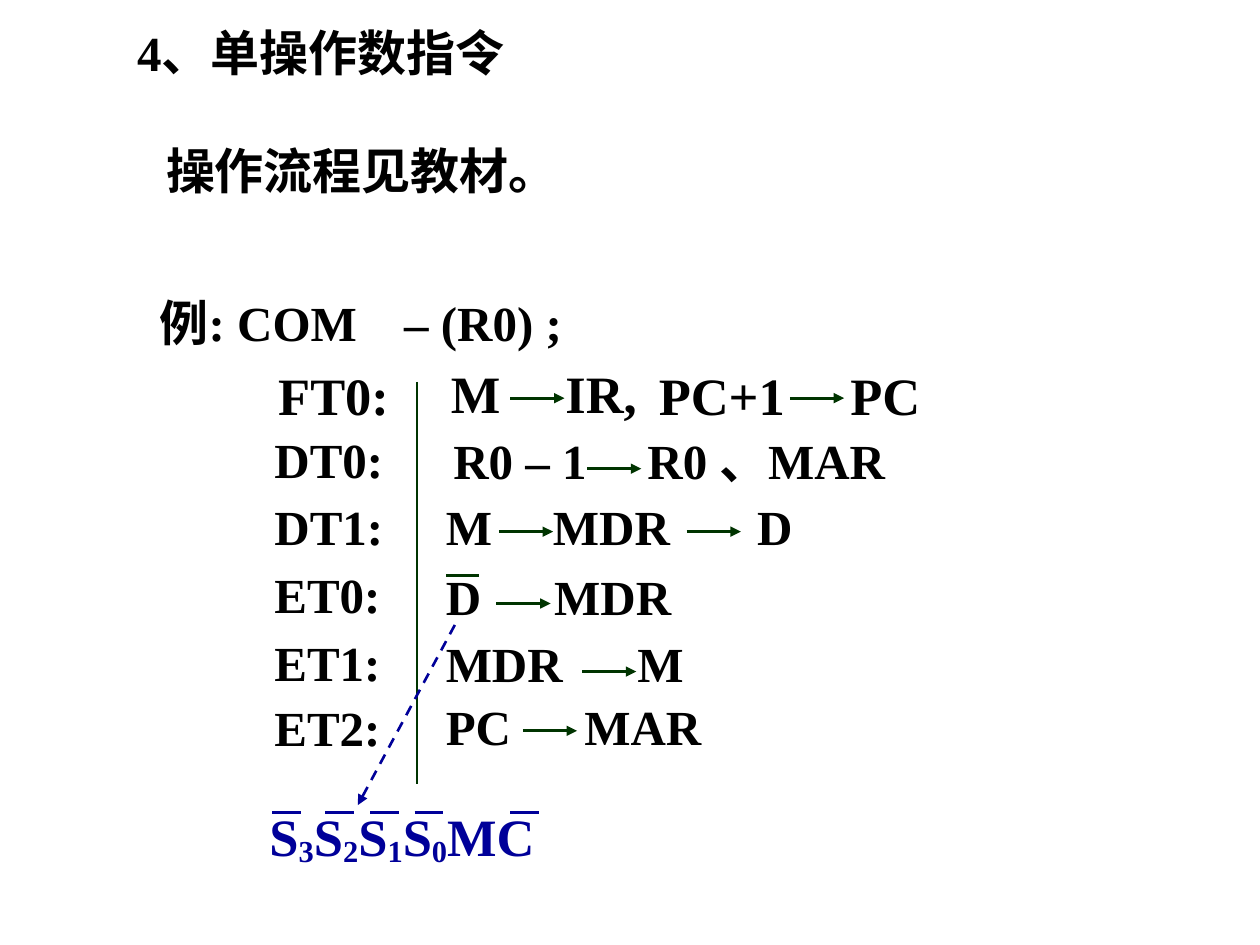
from dataclasses import dataclass

from lxml import etree
from pptx import Presentation
from pptx.dml.color import RGBColor
from pptx.enum import dml, shapes, text
from pptx.oxml import ns
from pptx.util import Inches, Pt


@dataclass(frozen=True)
class Theme:
    font: str = "Times New Roman"
    black: RGBColor = RGBColor(0, 0, 0)
    green: RGBColor = RGBColor(0x00, 0x34, 0x00)
    blue: RGBColor = RGBColor(0x00, 0x00, 0x99)
    body: int = 28
    large: int = 30
    thin: float = 1.5
    thick: float = 1.75


theme = Theme()


def add_text(parent, spans, left, top, width, height, size=theme.body,
             color=theme.black, spacing=None, stops=()):
    """Add one line of bold text; stops are tab positions in inches."""
    box = parent.add_textbox(Inches(left), Inches(top), Inches(width), Inches(height))
    frame = box.text_frame
    frame.word_wrap = True
    frame.auto_size = text.MSO_AUTO_SIZE.SHAPE_TO_FIT_TEXT
    para = frame.paragraphs[0]
    if stops:
        tabs = etree.SubElement(para._p.get_or_add_pPr(), ns.qn("a:tabLst"))
        for stop in stops:
            etree.SubElement(tabs, ns.qn("a:tab"), pos=str(Inches(stop)), algn="l")
    if spacing:
        para.line_spacing = spacing
    for words in spans:
        span = para.add_run()
        span.text = words
        span.font.name = theme.font
        span.font.size = Pt(size)
        span.font.bold = True
        span.font.color.rgb = color
    return para


def add_line(parent, start, end, color, width=theme.thin, arrow=False):
    line = parent.add_connector(shapes.MSO_CONNECTOR.STRAIGHT,
                                *(Inches(value) for value in (*start, *end)))
    line.line.color.rgb = color
    line.line.width = Pt(width)
    etree.SubElement(line._element.spPr, ns.qn("a:effectLst"))
    if arrow:
        etree.SubElement(line.line._get_or_add_ln(), ns.qn("a:tailEnd"), type="triangle")
    return line


deck = Presentation()
deck.slide_width, deck.slide_height = Inches(10), Inches(7.5)
page = deck.slides.add_slide(deck.slide_layouts[6])

# Headings
add_text(page.shapes, ["4、单操作数指令"], 0.99, 0.13, 3.78, 0.57)
add_text(page.shapes, ["操作流程见教材。"], 1.22, 1.07, 3.84, 0.57)
add_text(page.shapes, ["例: COM\t– (R0) ;"], 1.17, 2.27, 4.03, 0.57, stops=[1.94])

# Cycle labels: name, left, top, width, height, size
cycles = [
    ("FT0:", 2.11, 2.83, 1.25, 0.61, theme.large),
    ("DT0:", 2.08, 3.36, 1.67, 0.57, theme.body),
    ("DT1:", 2.08, 3.89, 1.31, 0.57, theme.body),
    ("ET0:", 2.08, 4.43, 1.34, 0.57, theme.body),
    ("ET1:", 2.08, 4.97, 1.28, 0.57, theme.body),
    ("ET2:", 2.08, 5.49, 1.67, 0.57, theme.body),
]
for name, *place, size in cycles:
    add_text(page.shapes, [name], *place, size)

# Transfers of each cycle: size, arrow height, arrow starts,
# then texts as (words, left, top, width, tab stops)
arrow_length = 0.43
transfers = [
    (theme.large, 3.16, [4.05, 6.27], [("M\tIR,", 3.48, 2.91, 2.0, [0.91]),
                                       ("PC+1\tPC", 5.13, 2.93, 2.55, [1.52])]),
    (theme.body, 3.72, [4.66], [("R0 – 1\tR0", 3.5, 3.46, 2.88, [1.54]),
                                ("、MAR", 5.61, 3.46, 1.95, [])]),
    (theme.body, 4.22, [3.96, 5.45], [("M\tMDR\tD", 3.44, 3.98, 3.12, [0.85, 2.47])]),
    (theme.body, 4.79, [3.94], [("D\tMDR", 3.44, 4.54, 2.12, [0.86])]),
    (theme.body, 5.33, [4.62], [("MDR\tM", 3.44, 5.07, 2.53, [1.52])]),
    (theme.body, 5.8, [4.15], [("PC\tMAR", 3.44, 5.57, 2.4, [1.1])]),
]
for size, arrow_y, arrow_starts, parts in transfers:
    row = page.shapes.add_group_shape().shapes
    height = 0.51 if size == theme.large else 0.48
    for words, left, top, width, stops in parts:
        add_text(row, [words], left, top, width, height, size, spacing=0.8, stops=stops)
    for x in arrow_starts:
        add_line(row, (x, arrow_y), (x + arrow_length, arrow_y),
                 theme.green, theme.thick, arrow=True)

# Bar over D, divider, and pointer to the function select signals
add_line(page.shapes, (3.54, 4.57), (3.8, 4.57), theme.green)
add_line(page.shapes, (3.31, 3.03), (3.31, 6.22), theme.green)
pointer = add_line(page.shapes, (3.61, 4.96), (2.84, 6.39), theme.blue)
pointer.line.dash_style = dml.MSO_LINE.DASH
etree.SubElement(pointer.line._get_or_add_ln(), ns.qn("a:tailEnd"), type="triangle")

# Function select signals with negation bars
signals = page.shapes.add_group_shape().shapes
para = add_text(signals, [*"S3S2S1S0", "MC"], 2.04, 6.33, 2.87, 0.61,
                theme.large, theme.blue)
for span in para.runs:
    if span.text.isdigit():
        span.font._element.set("baseline", "-12000")
for x in (2.16, 2.58, 2.94, 3.29, 4.05):
    add_line(signals, (x, 6.45), (x + 0.23, 6.45), theme.blue)

deck.save("out.pptx")
